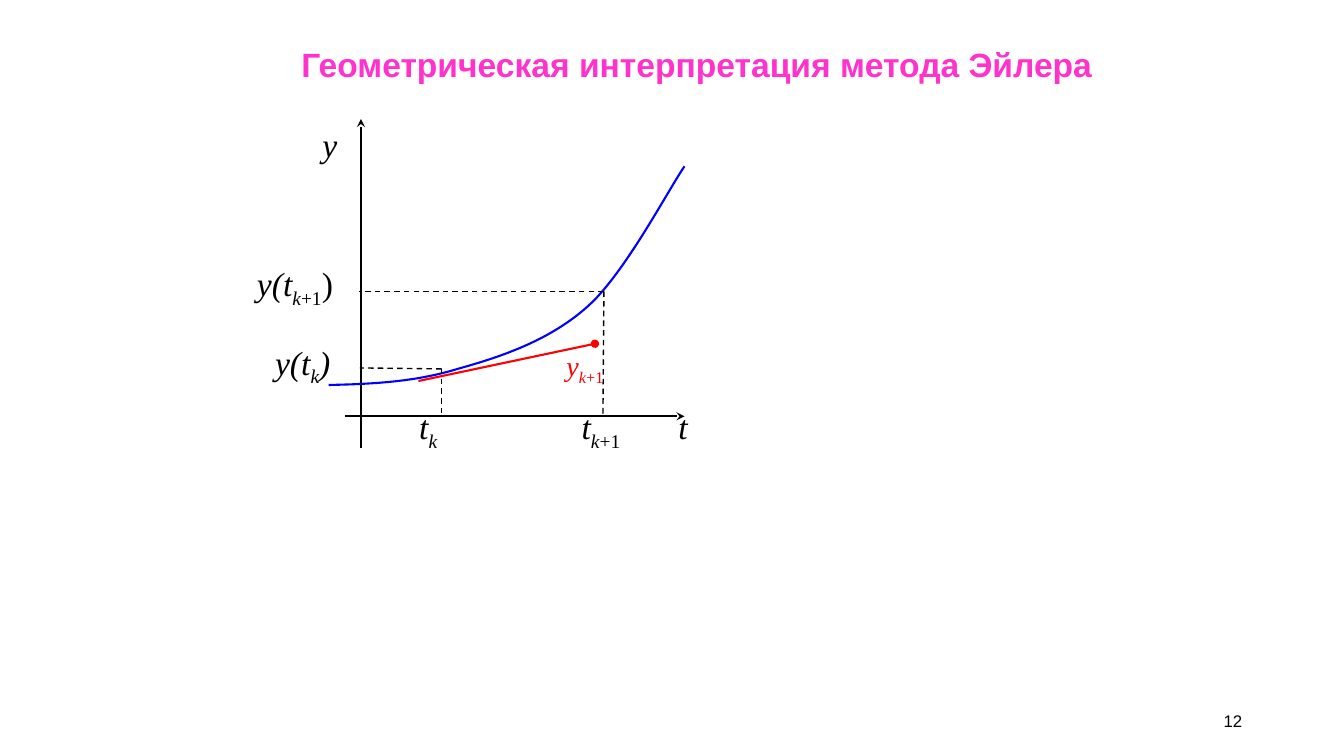
from lxml import etree
from pptx import Presentation
from pptx import util as u
from pptx.dml.color import RGBColor
from pptx.enum import dml, shapes, text
from pptx.oxml import ns

Inches, Pt = u.Inches, u.Pt
COLORS = {"ink": "000000", "curve": "0000FF", "tangent": "FF0000", "title": "FF33CC"}
SERIF, SANS = "Times New Roman", "Arial"

# Label pieces: text, italic, subscript
T, Y, Y_OF_T = ("t", True, False), ("y", True, False), ("y(t", True, False)
K, PLUS_ONE = ("k", True, True), ("+1", False, True)


def rgb(name):
    return RGBColor.from_string(COLORS[name])


def add_frame(slide, left, top, width, height, wrap=True):
    frame = slide.shapes.add_textbox(
        Inches(left), Inches(top), Inches(width), Inches(height)).text_frame
    frame.word_wrap = wrap
    return frame


def add_run(paragraph, words, size, font, color, bold=False, italic=False, sub=False):
    run = paragraph.add_run()
    run.text = words
    run.font.size, run.font.name = Pt(size), font
    run.font.bold, run.font.italic = bold, italic
    run.font.color.rgb = rgb(color)
    if sub:
        run.font._element.set("baseline", "-25000")


def add_label(slide, left, top, width, height, pieces, size=24, color="ink"):
    paragraph = add_frame(slide, left, top, width, height).paragraphs[0]
    for words, italic, sub in pieces:
        add_run(paragraph, words, size, SERIF, color, italic=italic, sub=sub)


def add_line(slide, start, end, color="ink", width=1.5, dashed=False, tip=None):
    line = slide.shapes.add_connector(
        shapes.MSO_CONNECTOR.STRAIGHT, *(Inches(v) for v in (*start, *end)))
    line.line.color.rgb = rgb(color)
    line.line.width = Pt(width)
    if dashed:
        line.line.dash_style = dml.MSO_LINE.DASH
    if tip:
        etree.SubElement(line.line._get_or_add_ln(), ns.qn("a:tailEnd"), type=tip)
    etree.SubElement(line._element.spPr, ns.qn("a:effectLst"))


def bezier(p0, p1, p2, p3, steps=24):
    """Points along a cubic segment, without its start."""
    for i in range(1, steps + 1):
        s = i / steps
        r = 1 - s
        yield tuple(r**3 * a + 3 * r * r * s * b + 3 * r * s * s * c + s**3 * d
                    for a, b, c, d in zip(p0, p1, p2, p3))


def add_curve(slide, knots):
    points = [p for i in range(0, len(knots) - 1, 3) for p in bezier(*knots[i:i + 4])]
    emu = [(Inches(x), Inches(y)) for x, y in points]
    builder = slide.shapes.build_freeform(Inches(knots[0][0]), Inches(knots[0][1]))
    builder.add_line_segments(emu, close=False)
    solution = builder.convert_to_shape()
    solution.fill.background()
    solution.line.color.rgb = rgb("curve")
    solution.line.width = Pt(1.5)
    solution.shadow.inherit = False


def add_plot(slide, left, top):
    def at(x, y):
        return left + x, top + y

    # Axes
    add_line(slide, at(0.97, 2.95), at(4.34, 2.95), tip="stealth")
    add_line(slide, at(1.13, 3.26), at(1.13, 0), tip="stealth")

    # Exact solution
    add_curve(slide, [at(*p) for p in (
        (0.81, 2.64), (1.24, 2.63), (1.67, 2.61), (2.09, 2.48),
        (2.52, 2.36), (3.0, 2.2), (3.38, 1.86),
        (3.75, 1.53), (4.18, 0.7), (4.34, 0.47))])

    # Projections of the two nodes onto the axes
    for node, foot, level in (((1.93, 2.48), (1.93, 2.95), (1.12, 2.47)),
                              ((3.54, 1.71), (3.53, 2.94), (1.11, 1.71))):
        for end in (foot, level):
            add_line(slide, at(*node), at(*end), width=1, dashed=True)

    # Axis and node labels
    for x, y, width, height, pieces in (
            (4.18, 2.8, 0.64, 0.47, [T]),
            (0.65, 0, 0.64, 0.47, [Y]),
            (0, 1.38, 1.45, 0.62, [Y_OF_T, K, PLUS_ONE, (")", False, False)]),
            (0.18, 2.16, 0.95, 0.62, [Y_OF_T, K, (")", True, False)]),
            (1.61, 2.8, 0.64, 0.62, [T, K]),
            (3.22, 2.8, 0.97, 0.62, [T, K, PLUS_ONE])):
        add_label(slide, *at(x, y), width, height, pieces)

    # Euler step along the tangent
    add_label(slide, *at(3.07, 2.23), 0.75, 0.5, [Y, K, PLUS_ONE], 20, "tangent")
    add_line(slide, at(1.7, 2.6), at(3.45, 2.23), "tangent", tip="oval")


def add_title(slide, left, top, width, height):
    frame = add_frame(slide, left, top, width, height, wrap=False)
    frame.auto_size = text.MSO_AUTO_SIZE.SHAPE_TO_FIT_TEXT
    frame.vertical_anchor = text.MSO_ANCHOR.MIDDLE
    add_run(frame.paragraphs[0], "Геометрическая интерпретация метода Эйлера",
            24, SANS, "title", bold=True)


def add_page_number(slide, left, top, width, height):
    frame = add_frame(slide, left, top, width, height)
    frame.vertical_anchor = text.MSO_ANCHOR.MIDDLE
    frame.paragraphs[0].alignment = text.PP_ALIGN.RIGHT
    add_run(frame.paragraphs[0], "12", 12, SANS, "ink")


def main():
    deck = Presentation()
    deck.slide_width, deck.slide_height = Inches(13.33), Inches(7.5)
    slide = deck.slides.add_slide(deck.slide_layouts[6])
    add_plot(slide, 2.45, 1.18)
    add_title(slide, 2.89, 0.39, 8.22, 0.5)
    add_page_number(slide, 9.42, 6.95, 3, 0.4)
    deck.save("out.pptx")


if __name__ == "__main__":
    main()
